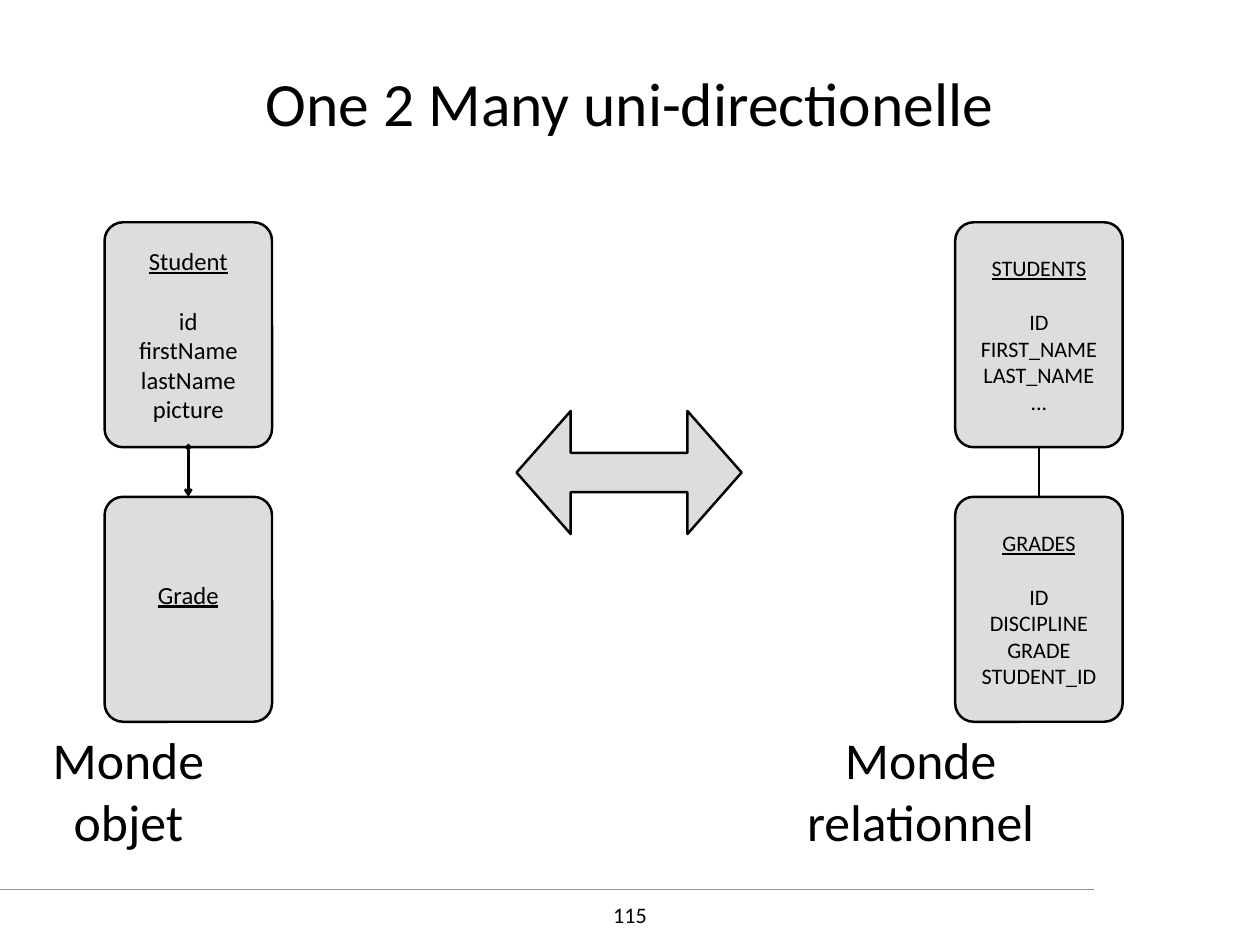
from lxml import etree
from pptx import Presentation, util as u
from pptx.dml.color import RGBColor
from pptx.enum import shapes, text
from pptx.oxml import ns

COLORS = {"ink": "000000", "panel": "DDDDDD", "rule": "D79000"}
FONT = "Calibri"
WIDTH, HEIGHT = 14.22, 10.67
INSET = 0.06
CARD_WIDTH, CARD_HEIGHT, CARD_GAP = 1.89, 2.54, 0.56
LINE_SPACING = 1.22
CARDS_TOP = 2.51
CAPTION_WIDTH, CAPTION_HEIGHT = 2.8, 1.5


def color(name):
    return RGBColor.from_string(COLORS[name])


def fill_text(shape, lines, size, bottom=INSET, anchor=text.MSO_ANCHOR.MIDDLE):
    frame = shape.text_frame
    frame.word_wrap = True
    frame.vertical_anchor = anchor
    frame.margin_left = frame.margin_right = frame.margin_top = u.Inches(INSET)
    frame.margin_bottom = u.Inches(bottom)
    frame.text = "\n".join(lines)
    for paragraph in frame.paragraphs:
        paragraph.alignment = text.PP_ALIGN.CENTER
        paragraph.font.name = FONT
        paragraph.font.size = u.Pt(size)
        paragraph.font.color.rgb = color("ink")
    return frame


def add_label(slide, box, label, size, anchor=text.MSO_ANCHOR.MIDDLE):
    shape = slide.shapes.add_textbox(*map(u.Inches, box))
    fill_text(shape, [label], size, anchor=anchor)


def add_panel(slide, kind, box, adjustments):
    shape = slide.shapes.add_shape(kind, *map(u.Inches, box))
    for index, value in enumerate(adjustments):
        shape.adjustments[index] = value
    shape.shadow.inherit = False
    shape.fill.solid()
    shape.fill.fore_color.rgb = color("panel")
    shape.line.color.rgb = color("ink")
    shape.line.width = u.Pt(2)
    return shape


def add_line(slide, start, end, line_color, width, head=None, tail=None):
    line = slide.shapes.add_connector(
        shapes.MSO_CONNECTOR.STRAIGHT, *map(u.Inches, (*start, *end)))
    line.line.color.rgb = color(line_color)
    line.line.width = u.Pt(width)
    outline = line.line._get_or_add_ln()
    for tag, end_type in (("a:headEnd", head), ("a:tailEnd", tail)):
        if end_type:
            etree.SubElement(outline, ns.qn(tag), type=end_type)
    etree.SubElement(line._element.spPr, ns.qn("a:effectLst"))


def add_card(slide, left, top, name, fields, size):
    """Draw a class or table: underlined name, one empty line's gap, fields."""
    gap = size * LINE_SPACING
    card = add_panel(slide, shapes.MSO_SHAPE.ROUNDED_RECTANGLE,
                     (left, top, CARD_WIDTH, CARD_HEIGHT), [0.11])
    bottom = INSET if fields else INSET + gap / 72
    heading = fill_text(card, [name, *fields], size, bottom).paragraphs[0]
    heading.font.underline = True
    if fields:
        heading.space_after = u.Pt(gap)


def add_world(slide, left, cards, size, caption, caption_center, head=None, tail=None):
    """Stack linked cards from the given left edge, with a caption below."""
    center = left + CARD_WIDTH / 2
    top = CARDS_TOP
    for index, (name, fields) in enumerate(cards):
        if index:
            add_line(slide, (center, top - CARD_GAP), (center, top), "ink", 2, head, tail)
        add_card(slide, left, top, name, fields, size)
        top += CARD_HEIGHT + CARD_GAP
    caption_top = top - CARD_GAP + 0.02
    add_label(slide, (caption_center - CAPTION_WIDTH / 2, caption_top,
                      CAPTION_WIDTH, CAPTION_HEIGHT), caption, 42)


def add_footer(slide, top, number):
    add_line(slide, (0, top), (12.35, top), "rule", 1)
    add_label(slide, (WIDTH / 2 - 0.35, top + 0.08, 0.7, 0.4), number, 18,
              text.MSO_ANCHOR.TOP)


def main():
    presentation = Presentation()
    presentation.slide_width = u.Inches(WIDTH)
    presentation.slide_height = u.Inches(HEIGHT)
    slide = presentation.slides.add_slide(presentation.slide_layouts[6])

    add_footer(slide, 10.04, "115")
    add_label(slide, (1.39, 0.28, 11.44, 1.74), "One 2 Many uni-directionelle", 50)
    add_panel(slide, shapes.MSO_SHAPE.LEFT_RIGHT_ARROW,
              (5.83, 4.64, 2.54, 1.39), [0.32, 0.44])
    add_world(slide, 1.18, [
        ("Student", ["id", "firstName", "lastName", "picture"]),
        ("Grade", []),
    ], 20, "Monde objet", 1.45, head="diamond", tail="arrow")
    add_world(slide, 10.78, [
        ("STUDENTS", ["ID", "FIRST_NAME", "LAST_NAME", "..."]),
        ("GRADES", ["ID", "DISCIPLINE", "GRADE", "STUDENT_ID"]),
    ], 18, "Monde relationnel", 10.39)

    presentation.save("out.pptx")


if __name__ == "__main__":
    main()
